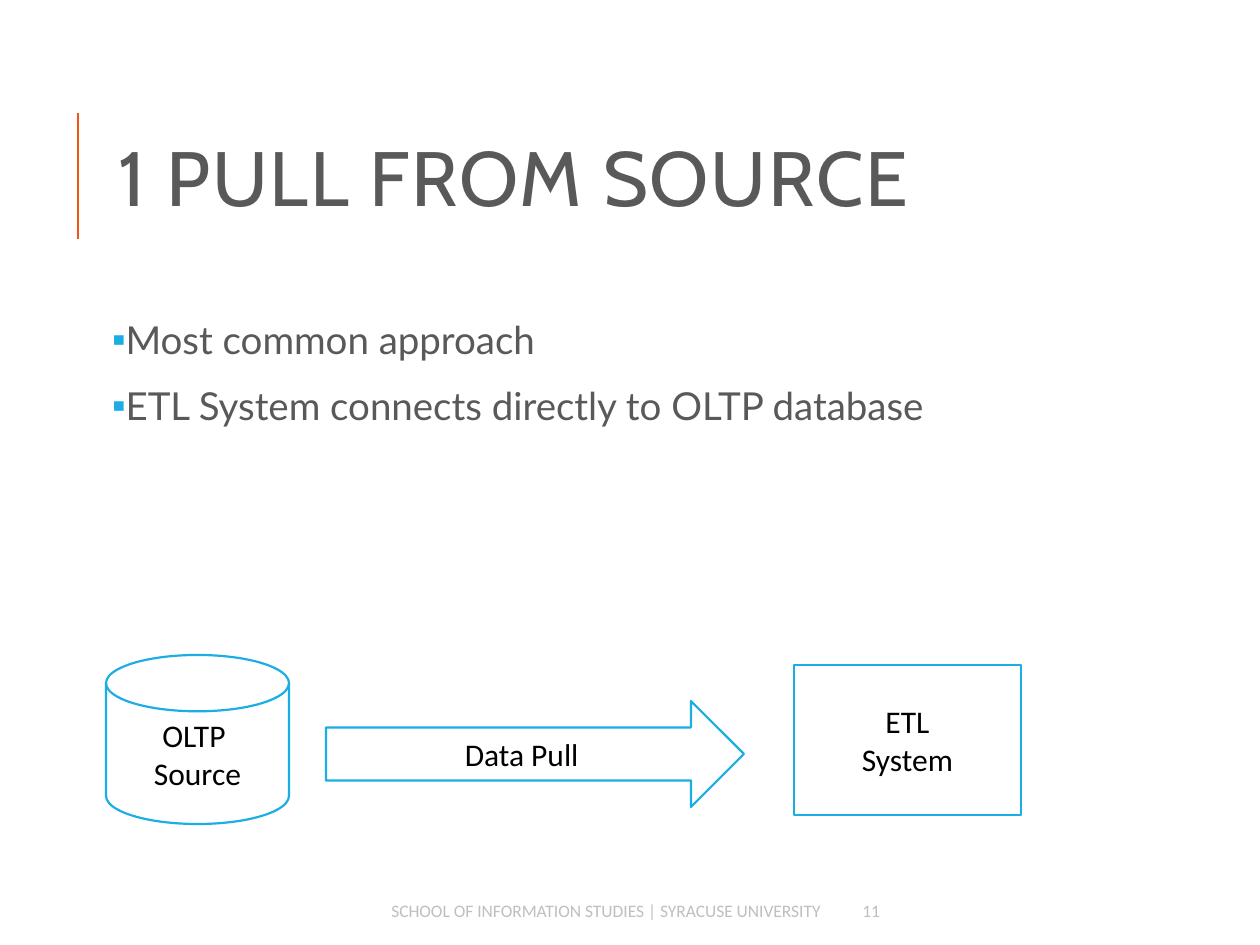
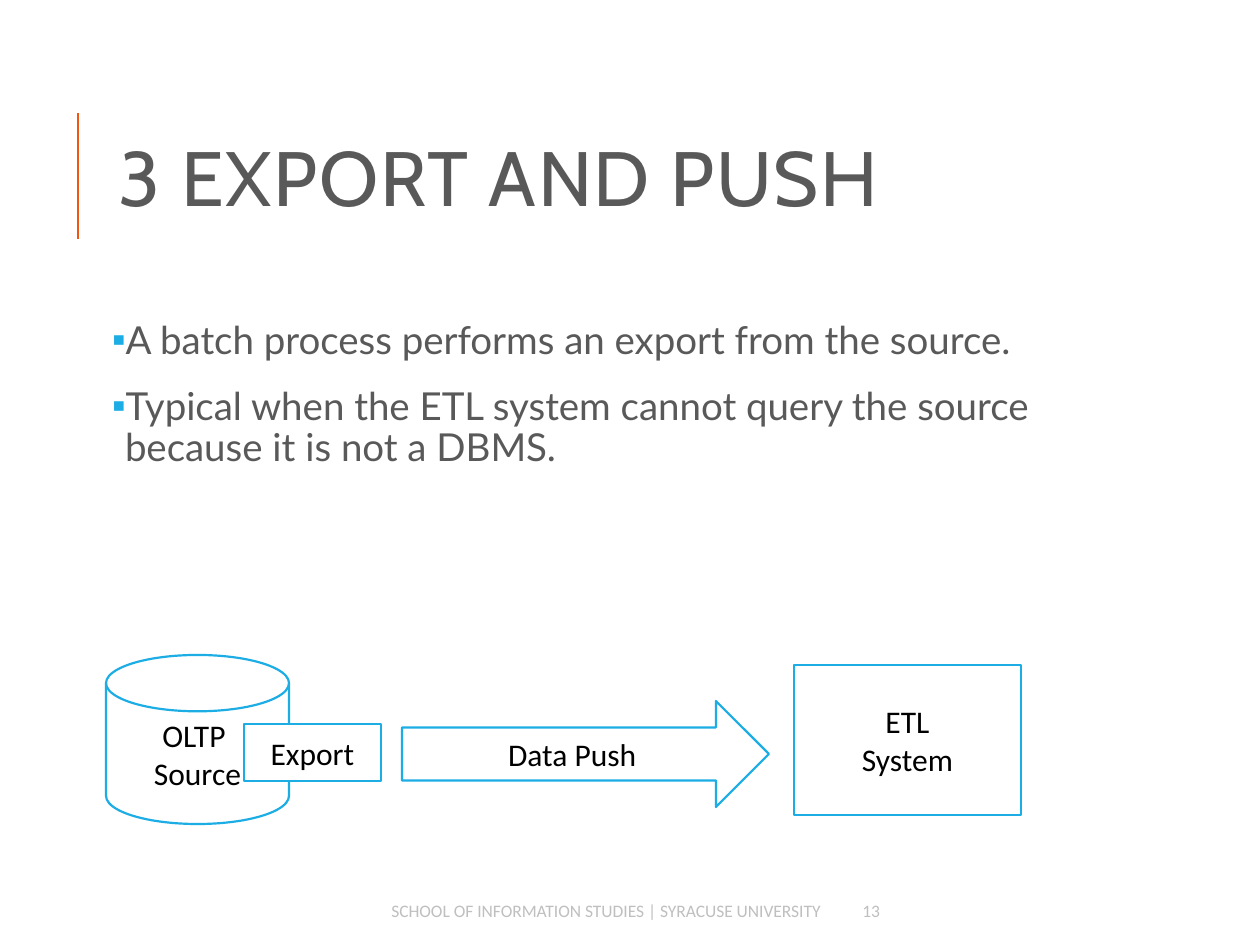
from dataclasses import dataclass

from lxml import etree
from pptx import Presentation
from pptx.dml.color import RGBColor
from pptx.enum.shapes import MSO_CONNECTOR, MSO_SHAPE
from pptx.enum.text import MSO_ANCHOR, MSO_AUTO_SIZE, PP_ALIGN
from pptx.oxml.ns import qn
from pptx.util import Emu, Pt

EMU_PER_PX = 914400 / 126
LEFT, CENTER, RIGHT = PP_ALIGN.LEFT, PP_ALIGN.CENTER, PP_ALIGN.RIGHT
TOP, MIDDLE = MSO_ANCHOR.TOP, MSO_ANCHOR.MIDDLE
CYLINDER = MSO_SHAPE.FLOWCHART_MAGNETIC_DISK
ARROW = MSO_SHAPE.RIGHT_ARROW
RECTANGLE = MSO_SHAPE.RECTANGLE
STRAIGHT = MSO_CONNECTOR.STRAIGHT
NO_AUTOFIT = MSO_AUTO_SIZE.NONE


@dataclass(frozen=True)
class TextStyle:
    font: str
    size: float
    color: str


@dataclass(frozen=True)
class Theme:
    title: TextStyle = TextStyle("Cabin", 44, "595959")
    body: TextStyle = TextStyle("Lato", 22, "595959")
    footer: TextStyle = TextStyle("Calibri", 10, "BFBFBF")
    label: TextStyle = TextStyle("Calibri", 18, "000000")
    background: str = "FFFFFF"
    accent: str = "1CADE4"
    title_bar: str = "EE5612"
    outline_width: float = 1.25
    bar_width: float = 1.5


THEME = Theme()

# Regions as left, top, width, height in px
SLIDE_SIZE = (1260, 945)
TITLE_BOX = (106, 81, 1004, 207)
BODY_BOX = (106, 315, 1004, 229)
DIAGRAM_BOX = (106, 655, 915, 169)
FOOTER_BOX = (238, 892, 727, 38)
FOOTER_TEXT = "SCHOOL OF INFORMATION STUDIES | SYRACUSE UNIVERSITY"


def px(length):
    return Emu(round(length * EMU_PER_PX))


def place(shape, box):
    shape.left, shape.top, shape.width, shape.height = map(px, box)


def add_run(paragraph, text, style):
    run = paragraph.add_run()
    run.text = text
    run.font.name = style.font
    run.font.size = Pt(style.size)
    run.font.color.rgb = RGBColor.from_string(style.color)
    return run


def prepare_frame(shape, anchor):
    frame = shape.text_frame
    frame.word_wrap = True
    frame.auto_size = NO_AUTOFIT
    frame.vertical_anchor = anchor
    return frame


def add_title(slide, box, text):
    left, top, _, height = box
    title = slide.shapes.title
    place(title, box)
    paragraph = prepare_frame(title, MIDDLE).paragraphs[0]
    paragraph.alignment = LEFT
    paragraph.line_spacing = 0.8
    run = add_run(paragraph, text, THEME.title)
    run.font._element.set("spc", "100")

    # Vertical bar beside the title
    bar_x, bar_top, bar_bottom = left - 28, top + 32, top + height - 49
    bar = slide.shapes.add_connector(
        STRAIGHT, px(bar_x), px(bar_bottom), px(bar_x), px(bar_top))
    bar.line.color.rgb = RGBColor.from_string(THEME.title_bar)
    bar.line.width = Pt(THEME.bar_width)
    etree.SubElement(bar._element.spPr, qn("a:effectLst"))


def set_bullet(paragraph):
    properties = paragraph._p.get_or_add_pPr()
    properties.set("marL", str(px(13)))
    properties.set("indent", str(px(-13)))
    bullet_color = etree.SubElement(properties, qn("a:buClr"))
    etree.SubElement(bullet_color, qn("a:srgbClr")).set("val", THEME.accent)
    etree.SubElement(properties, qn("a:buChar")).set("char", "▪")


def add_bullets(slide, box, items):
    body = slide.placeholders[1]
    place(body, box)
    frame = prepare_frame(body, TOP)
    frame.margin_left = frame.margin_right = px(6)
    frame.margin_top = frame.margin_bottom = px(6)
    for index, item in enumerate(items):
        paragraph = frame.add_paragraph() if index else frame.paragraphs[0]
        set_bullet(paragraph)
        paragraph.line_spacing = 0.9
        paragraph.space_before = Pt(12 if index else 0)
        paragraph.space_after = Pt(2)
        add_run(paragraph, item, THEME.body)


def add_footer(slide, box, number):
    left, top, width, height = box
    number_width = 115
    text_width = width - number_width - 17
    parts = (
        (left, text_width, FOOTER_TEXT, RIGHT),
        (left + width - number_width, number_width, str(number), LEFT),
    )
    for part_left, part_width, text, alignment in parts:
        text_box = slide.shapes.add_textbox(
            *map(px, (part_left, top, part_width, height)))
        paragraph = prepare_frame(text_box, MIDDLE).paragraphs[0]
        paragraph.alignment = alignment
        add_run(paragraph, text, THEME.footer)


def add_node(slide, kind, box, paragraphs):
    """Add an outlined shape; each paragraph is a tuple of lines."""
    node = slide.shapes.add_shape(kind, *map(px, box))
    node.shadow.inherit = False
    node.fill.solid()
    node.fill.fore_color.rgb = RGBColor.from_string(THEME.background)
    node.line.color.rgb = RGBColor.from_string(THEME.accent)
    node.line.width = Pt(THEME.outline_width)
    frame = prepare_frame(node, MIDDLE)
    for index, lines in enumerate(paragraphs):
        paragraph = frame.add_paragraph() if index else frame.paragraphs[0]
        paragraph.alignment = CENTER
        for line_index, line in enumerate(lines):
            if line_index:
                paragraph.add_line_break()
            add_run(paragraph, line, THEME.label)


def add_flow(slide, box, arrow_label, arrow_span, export_label=None):
    """Draw source, arrow and target; arrow_span is offset and width."""
    left, top, width, height = box
    arrow_offset, arrow_width = arrow_span
    target_width = 227
    add_node(slide, CYLINDER, (left, top, 183, height), [("OLTP ", "Source")])
    add_node(slide, ARROW, (left + arrow_offset, top + 46, arrow_width, 106),
             [(arrow_label,)])
    add_node(slide, RECTANGLE,
             (left + width - target_width, top + 10, target_width, 150),
             [("ETL",), ("System",)])
    if export_label:
        add_node(slide, RECTANGLE, (left + 138, top + 69, 137, 57),
                 [(export_label,)])


def add_approach_slide(presentation, title, bullets, number, **flow):
    slide = presentation.slides.add_slide(presentation.slide_layouts[1])
    add_title(slide, TITLE_BOX, title)
    add_bullets(slide, BODY_BOX, bullets)
    add_footer(slide, FOOTER_BOX, number)
    add_flow(slide, DIAGRAM_BOX, **flow)


def main():
    presentation = Presentation()
    presentation.slide_width, presentation.slide_height = map(px, SLIDE_SIZE)
    add_approach_slide(
        presentation, "1 PULL FROM SOURCE",
        ["Most common approach",
         "ETL System connects directly to OLTP database"],
        11, arrow_label="Data Pull", arrow_span=(220, 418))
    add_approach_slide(
        presentation, "3 EXPORT AND PUSH",
        ["A batch process performs an export from the source.",
         "Typical when the ETL system cannot query the source "
         "because it is not a DBMS."],
        13, arrow_label="Data Push", arrow_span=(296, 367),
        export_label="Export")
    presentation.save("out.pptx")


if __name__ == "__main__":
    main()
